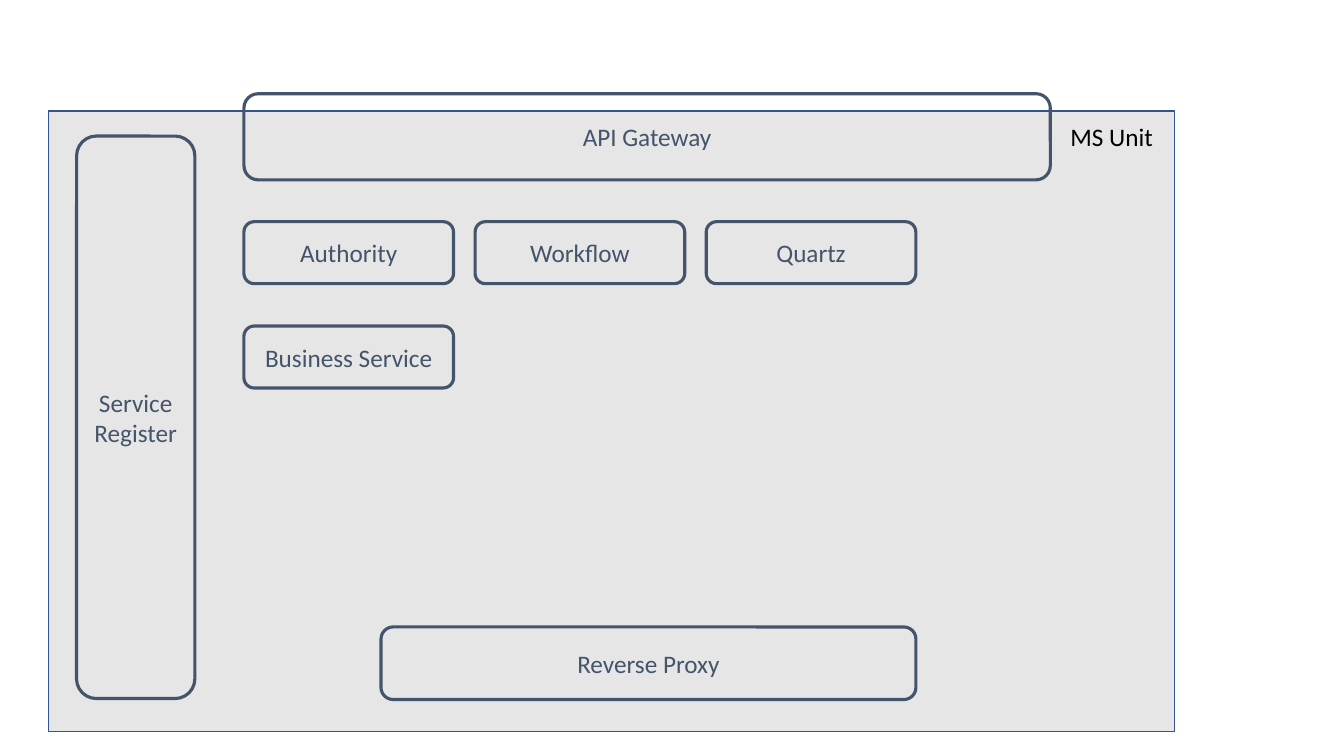
from pptx import Presentation
from pptx import util as u
from pptx.dml import color
from pptx.enum import shapes, text


def rgb(value):
    return color.RGBColor.from_string(value)


class Diagram:
    font_name = "Calibri"
    font_size = u.Pt(18)
    ink = "44546A"

    def __init__(self, presentation):
        self.width = presentation.slide_width
        self.height = presentation.slide_height
        self.slide = presentation.slides.add_slide(presentation.slide_layouts[6])

    def area(self, left, top, width, height):
        return (round(left * self.width / 100), round(top * self.height / 100),
                round(width * self.width / 100), round(height * self.height / 100))

    def set_words(self, shape, words, ink, alignment):
        shape.text_frame.text = words
        for paragraph in shape.text_frame.paragraphs:
            paragraph.alignment = alignment
            paragraph.font.name = self.font_name
            paragraph.font.size = self.font_size
            paragraph.font.color.rgb = rgb(ink)

    def outline(self, kind, area, line, weight):
        shape = self.slide.shapes.add_shape(kind, *self.area(*area))
        shape.shadow.inherit = False
        shape.fill.background()
        shape.line.color.rgb = rgb(line)
        shape.line.width = u.Pt(weight)
        return shape

    def panel(self, area, fill, line):
        shape = self.outline(shapes.MSO_SHAPE.RECTANGLE, area, line, 1)
        shape.fill.solid()
        shape.fill.fore_color.rgb = rgb(fill)

    def component(self, words, area):
        shape = self.outline(shapes.MSO_SHAPE.ROUNDED_RECTANGLE, area, self.ink, 2.25)
        shape.text_frame.vertical_anchor = text.MSO_ANCHOR.MIDDLE
        self.set_words(shape, words, self.ink, text.PP_ALIGN.CENTER)

    def label(self, words, area):
        shape = self.slide.shapes.add_textbox(*self.area(*area))
        shape.text_frame.word_wrap = False
        shape.text_frame.auto_size = text.MSO_AUTO_SIZE.SHAPE_TO_FIT_TEXT
        self.set_words(shape, words, "000000", text.PP_ALIGN.LEFT)


presentation = Presentation()
presentation.slide_width = u.Inches(13.33)
presentation.slide_height = u.Inches(7.5)
diagram = Diagram(presentation)

SERVICES_LEFT, SERVICES_TOP = 18.15, 29.33
COLUMN_STEP, ROW_STEP = 17.2, 13.8
SERVICE_WIDTH, SERVICE_HEIGHT = 15.6, 8.2
SERVICES = [["Authority", "Workflow", "Quartz"], ["Business Service"]]

diagram.panel((3.6, 14.67, 83.8, 82.13), "E7E6E6", "325491")
diagram.component("API Gateway", (SERVICES_LEFT, 12.4, 60, 11.4))
diagram.component("Service\nRegister", (5.7, 18, 8.8, 74.4))
for row, names in enumerate(SERVICES):
    for column, name in enumerate(names):
        diagram.component(name, (SERVICES_LEFT + column * COLUMN_STEP,
                                 SERVICES_TOP + row * ROW_STEP,
                                 SERVICE_WIDTH, SERVICE_HEIGHT))
diagram.component("Reverse Proxy", (28.35, 82.93, 39.8, 9.6))
diagram.label("MS Unit", (78.9, 15.33, 7.73, 5.33))

presentation.save("out.pptx")
